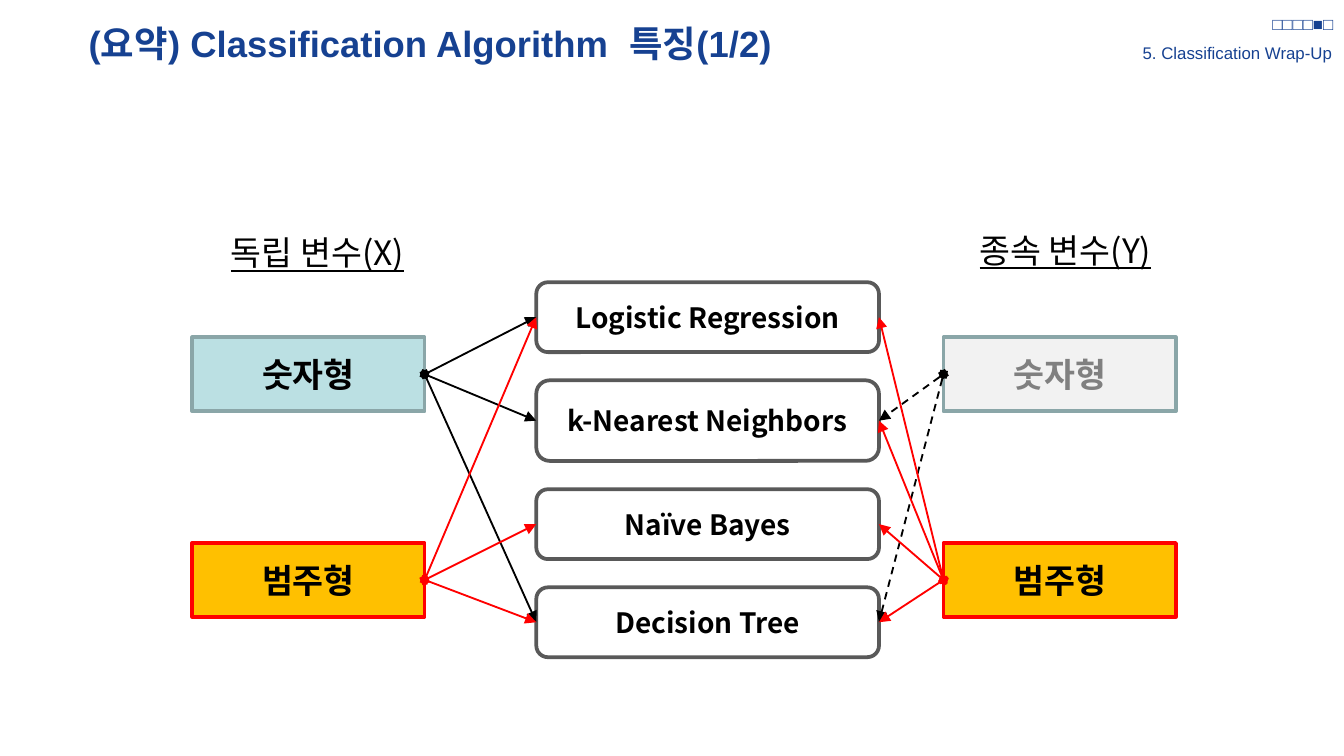
from pptx import Presentation
from pptx.dml.color import RGBColor
from pptx.enum.dml import MSO_LINE
from pptx.enum.shapes import MSO_CONNECTOR, MSO_SHAPE
from pptx.enum.text import MSO_ANCHOR, MSO_AUTO_SIZE, PP_ALIGN
from pptx.oxml.ns import qn
from pptx.util import Inches, Pt
from lxml.etree import SubElement

SANS = "Noto Sans CJK KR"
NAVY, BLACK, RED = "164191", "000000", "FF0000"


def color(code):
    """Turn a hex string into a colour."""
    return RGBColor.from_string(code)


def write(shape, text, size, font, ink, align, bold=False, line=False):
    """Put one styled paragraph into a shape."""
    para = shape.text_frame.paragraphs[0]
    para.text = text
    para.alignment = align
    style = para.font
    style.name, style.size, style.bold = font, Pt(size), bold
    style.underline = line
    style.color.rgb = color(ink)
    props = para._p.pPr.find(qn("a:defRPr"))
    SubElement(props, qn("a:ea")).set("typeface", font)
    return para


def label(slide, box, text, size, font, ink, pad=(0, 0), align=PP_ALIGN.LEFT,
          anchor=MSO_ANCHOR.TOP, wrap=True, **style):
    """Add a text box and return its paragraph."""
    shape = slide.shapes.add_textbox(*map(Inches, box))
    frame = shape.text_frame
    frame.word_wrap = wrap
    frame.auto_size = MSO_AUTO_SIZE.NONE if wrap else MSO_AUTO_SIZE.SHAPE_TO_FIT_TEXT
    frame.vertical_anchor = anchor
    frame.margin_left = frame.margin_right = Inches(pad[0])
    frame.margin_top = frame.margin_bottom = Inches(pad[1])
    return write(shape, text, size, font, ink, align, **style)


def block(slide, kind, box, text, size, fill, edge, ink=BLACK):
    """Add a filled, outlined shape with bold centred text."""
    shape = slide.shapes.add_shape(kind, *map(Inches, box))
    shape.shadow.inherit = False
    shape.fill.solid()
    shape.fill.fore_color.rgb = color(fill)
    shape.line.color.rgb = color(edge)
    shape.line.width = Pt(2)
    shape.text_frame.vertical_anchor = MSO_ANCHOR.MIDDLE
    write(shape, text, size, SANS, ink, PP_ALIGN.CENTER, bold=True)
    return shape


def arrow(slide, start, end, sides, ink, dash=False):
    """Join two shapes with a diamond-tailed arrow."""
    link = slide.shapes.add_connector(MSO_CONNECTOR.STRAIGHT, 0, 0, 0, 0)
    link.begin_connect(start, sides[0])
    link.end_connect(end, sides[1])
    link.line.color.rgb = color(ink)
    link.line.width = Pt(1)
    if dash:
        link.line.dash_style = MSO_LINE.DASH
    edge = link.line._get_or_add_ln()
    SubElement(edge, qn("a:headEnd")).set("type", "diamond")
    SubElement(edge, qn("a:tailEnd")).set("type", "triangle")
    SubElement(link._element.spPr, qn("a:effectLst"))


def header(slide):
    """Add the title, section name and progress marks."""
    title = label(slide, (0.59, 0.15, 8.29, 0.39),
                  "(요약) Classification Algorithm  특징(1/2)",
                  19.5, "Arial", NAVY, pad=(0.07, 0.04), bold=True)
    title.line_spacing = 0.9
    side = dict(align=PP_ALIGN.RIGHT, anchor=MSO_ANCHOR.MIDDLE)
    name = label(slide, (8.46, 0.3, 1.45, 0.16), "5. Classification Wrap-Up",
                 9, "Arial", NAVY, wrap=False, **side)
    name.line_spacing = 1.2
    label(slide, (8.53, 0.05, 1.39, 0.25), "□□□□■□", 9, "Arial", NAVY, **side)


def main():
    """Build the slide and save it."""
    deck = Presentation()
    deck.slide_width, deck.slide_height = Inches(10), Inches(10 * 9 / 16)
    slide = deck.slides.add_slide(deck.slide_layouts[6])
    header(slide)

    models = [("Logistic Regression", 2.1, 0.52), ("k-Nearest Neighbors", 2.83, 0.6),
              ("Naïve Bayes", 3.64, 0.52), ("Decision Tree", 4.37, 0.52)]
    logit, near, bayes, tree = [
        block(slide, MSO_SHAPE.ROUNDED_RECTANGLE, (3.99, top, 2.55, high),
              name, 15, "FFFFFF", "595959") for name, top, high in models]

    for left, top, text in [(1.62, 1.68, "독립 변수(X)"), (7.19, 1.66, "종속 변수(Y)")]:
        label(slide, (left, top, 1.61, 0.4), text, 18, SANS, BLACK,
              pad=(0.1, 0.05), wrap=False, line=True)

    kinds = [(1.43, "BBE0E3", BLACK, (3, 1), False,
              (logit, near, tree), (logit, bayes, tree)),
             (7.02, "F2F2F2", "808080", (1, 3), True,
              (near, tree), (tree, bayes, near, logit))]
    for left, fill, ink, sides, dash, nums, cats in kinds:
        number = block(slide, MSO_SHAPE.RECTANGLE, (left, 2.51, 1.73, 0.55),
                       "숫자형", 18, fill, "8AA6A8", ink)
        group = block(slide, MSO_SHAPE.RECTANGLE, (left, 4.04, 1.73, 0.55),
                      "범주형", 18, "FFC000", RED)
        for model in nums:
            arrow(slide, number, model, sides, BLACK, dash)
        for model in cats:
            arrow(slide, group, model, sides, RED)

    deck.save("out.pptx")


if __name__ == "__main__":
    main()
